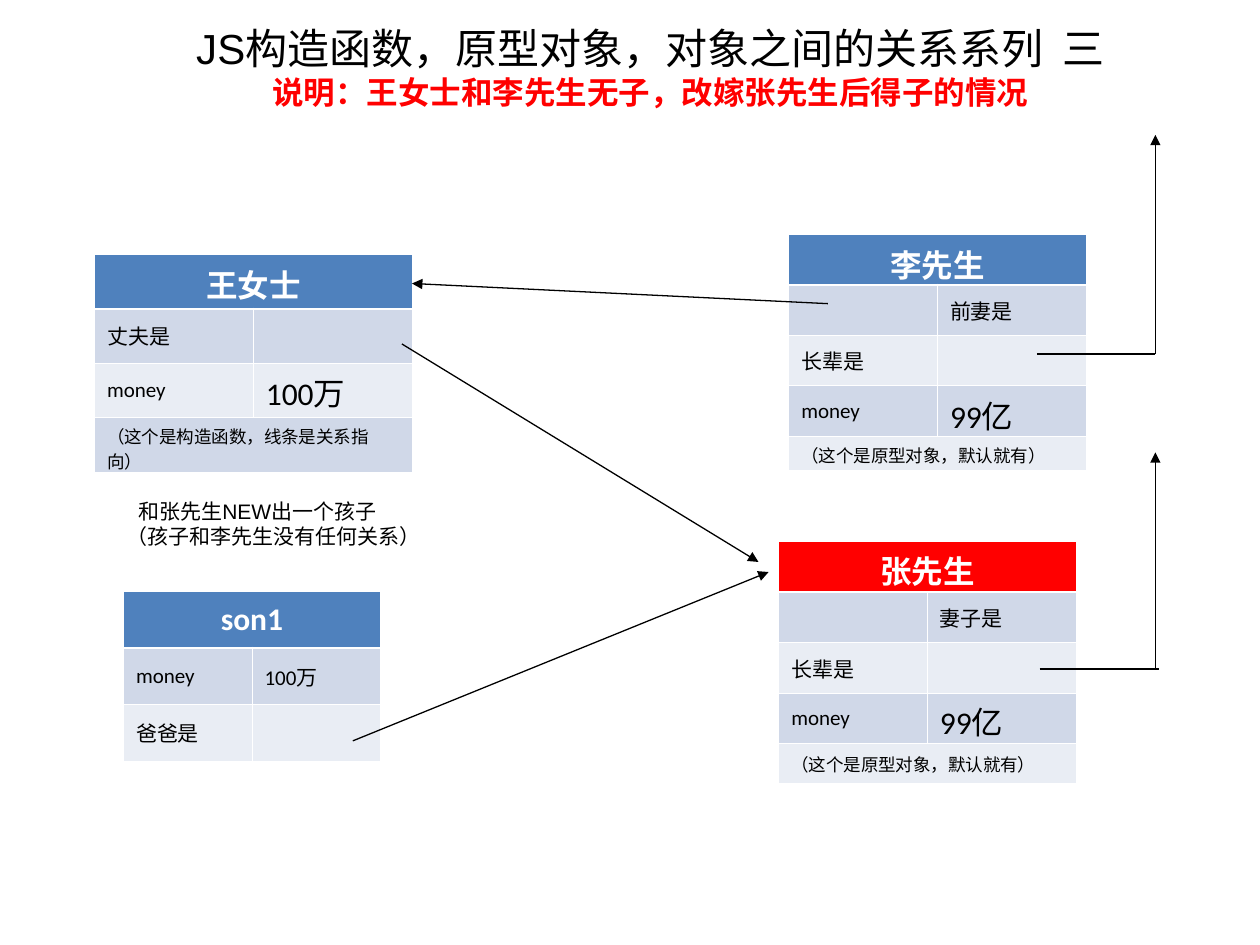
from lxml.etree import SubElement
from pptx import Presentation
from pptx.dml.color import RGBColor
from pptx.enum.shapes import MSO_CONNECTOR
from pptx.enum.text import MSO_ANCHOR, PP_ALIGN
from pptx.oxml.ns import qn
from pptx.util import Inches, Pt

BLACK = RGBColor(0, 0, 0)
WHITE = RGBColor(0xFF, 0xFF, 0xFF)
RED = RGBColor(0xFF, 0, 0)
BLUE = RGBColor(0x4F, 0x81, 0xBD)
BANDS = RGBColor(0xD0, 0xD8, 0xE8), RGBColor(0xE9, 0xED, 0xF4)

# Height of the table's rows is in inches; a row of one text spans both columns.
PROTOTYPE_NOTE = "（这个是原型对象，默认就有）"
PROTOTYPE_HEIGHTS = [0.4, 0.4, 0.4, 0.4]


def set_font(p, size, color=BLACK, bold=False, name="Calibri"):
    p.font.size = Pt(size)
    p.font.color.rgb = color
    p.font.bold = bold
    p.font.name = name


def set_borders(cell, top, bottom):
    tc_pr = cell._tc.get_or_add_tcPr()
    for side, width in (("L", 0.45), ("R", 0.45), ("T", top), ("B", bottom)):
        ln = SubElement(tc_pr, qn(f"a:ln{side}"), w=str(Pt(width)))
        fill = SubElement(ln, qn("a:solidFill"))
        SubElement(fill, qn("a:srgbClr"), val=str(WHITE))


def write_cell(cell, text, size, header=False, tight=False):
    cell.vertical_anchor = MSO_ANCHOR.MIDDLE
    if not text:
        return
    cell.text = text
    p = cell.text_frame.paragraphs[0]
    p.space_before = Pt(size / 4)
    set_font(p, size, WHITE if header else BLACK, header)
    if header:
        p.alignment = PP_ALIGN.CENTER
    if tight and size == 18:
        cell.margin_top, cell.margin_bottom = Inches(0.04), 0


def add_person(s, left, top, col_width, heights, name, rows,
               header_color=BLUE, tight=False):
    """Add a two-column table; rows hold (text, size) pairs."""
    frame = s.shapes.add_table(len(heights), 2, Inches(left), Inches(top),
                               Inches(2 * col_width), Inches(sum(heights)))
    table = frame.table
    table.first_row = False
    for col in table.columns:
        col.width = Inches(col_width)
    for i, (height, row) in enumerate(zip(heights, [[(name, 18)], *rows])):
        table.rows[i].height = Inches(height)
        for j in range(2):
            cell = table.cell(i, j)
            set_borders(cell, 1.47 if i == 1 else 0.45, 1.47 if i == 0 else 0.45)
            cell.fill.solid()
            cell.fill.fore_color.rgb = BANDS[(i - 1) % 2] if i else header_color
        if len(row) == 1:
            table.cell(i, 0).merge(table.cell(i, 1))
        for j, (text, size) in enumerate(row):
            write_cell(table.cell(i, j), text, size, i == 0, tight)


def prototype_rows(wife_label):
    return [[("", 12), (wife_label, 12)],
            [("长辈是", 12), ("", 12)],
            [("money", 12), ("99亿", 18)],
            [(PROTOTYPE_NOTE, 10)]]


def add_line(s, x1, y1, x2, y2, arrow=True):
    line = s.shapes.add_connector(MSO_CONNECTOR.STRAIGHT, Inches(x1), Inches(y1),
                                  Inches(x2), Inches(y2))
    line.line.color.rgb = BLACK
    line.line.width = Pt(0.75)
    if arrow:
        SubElement(line.line._get_or_add_ln(), qn("a:tailEnd"), type="triangle")
    SubElement(line._element.spPr, qn("a:effectLst"))


def add_text(s, left, top, width, height, lines, align=PP_ALIGN.LEFT, wrap=True):
    """Add a text box; lines hold (text, size, color, bold, indent)."""
    tf = s.shapes.add_textbox(Inches(left), Inches(top),
                              Inches(width), Inches(height)).text_frame
    tf.word_wrap = wrap
    for i, (text, size, color, bold, indent) in enumerate(lines):
        p = tf.add_paragraph() if i else tf.paragraphs[0]
        p.text = text
        p.alignment = align
        set_font(p, size, color, bold, "Arial")
        if indent:
            p._p.get_or_add_pPr().set("marL", str(Inches(indent)))


def main():
    prs = Presentation()
    prs.slide_width, prs.slide_height = Inches(10), Inches(7.5)
    s = prs.slides.add_slide(prs.slide_layouts[6])

    add_text(s, 0.59, 0.13, 9.14, 0.8, [
        ("JS构造函数，原型对象，对象之间的关系系列  三", 24, BLACK, False, 0),
        ("说明：王女士和李先生无子，改嫁张先生后得子的情况", 18, RED, True, 0),
    ], PP_ALIGN.CENTER)
    add_text(s, 0.91, 3.91, 2.57, 0.5, [
        ("和张先生NEW出一个孩子", 12, BLACK, False, 0.09),
        ("（孩子和李先生没有任何关系）", 12, BLACK, False, 0),
    ], wrap=False)

    add_person(s, 0.75, 2.02, 1.26, [0.43, 0.43, 0.43, 0.44], "王女士", [
        [("丈夫是", 12), ("", 12)],
        [("money", 12), ("100万", 18)],
        [("（这个是构造函数，线条是关系指向）", 10)],
    ])
    add_person(s, 0.98, 4.69, 1.02, [0.45] * 3, "son1", [
        [("money", 12), ("100万", 12)],
        [("爸爸是", 12), ("", 12)],
    ])
    add_person(s, 6.26, 1.86, 1.18, [*PROTOTYPE_HEIGHTS, 0.27], "李先生",
               prototype_rows("前妻是"))
    add_person(s, 6.18, 4.3, 1.18, [*PROTOTYPE_HEIGHTS, 0.32], "张先生",
               prototype_rows("妻子是"), RED, tight=True)

    add_line(s, 3.19, 2.73, 6.02, 4.46)  # wife to husband
    add_line(s, 2.8, 5.88, 6.1, 4.54)  # son to father
    add_line(s, 6.57, 2.41, 3.27, 2.25)  # former husband to wife
    for start, end, y, top in ((8.23, 9.17, 2.81, 1.07), (8.25, 9.2, 5.31, 3.59)):
        add_line(s, start, y, end, y, arrow=False)
        add_line(s, 9.17, y, 9.17, top)

    prs.save("out.pptx")


if __name__ == "__main__":
    main()
